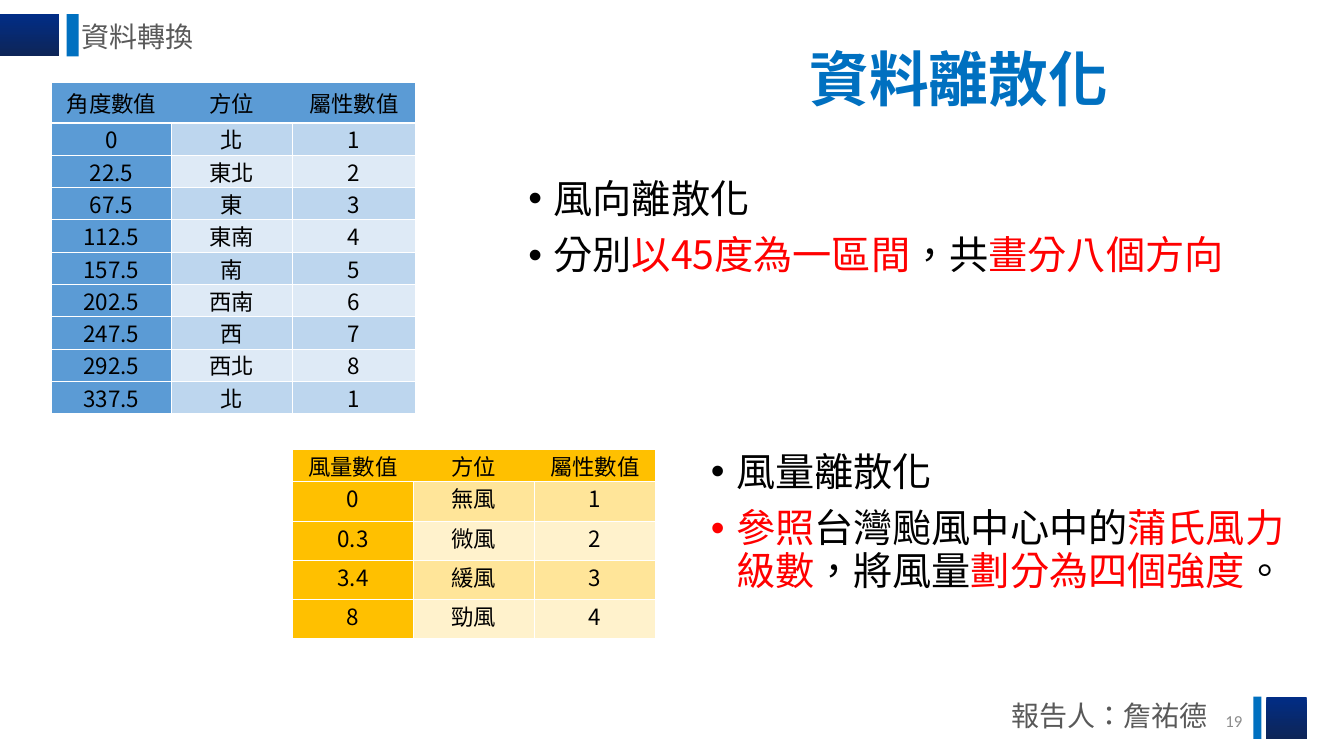
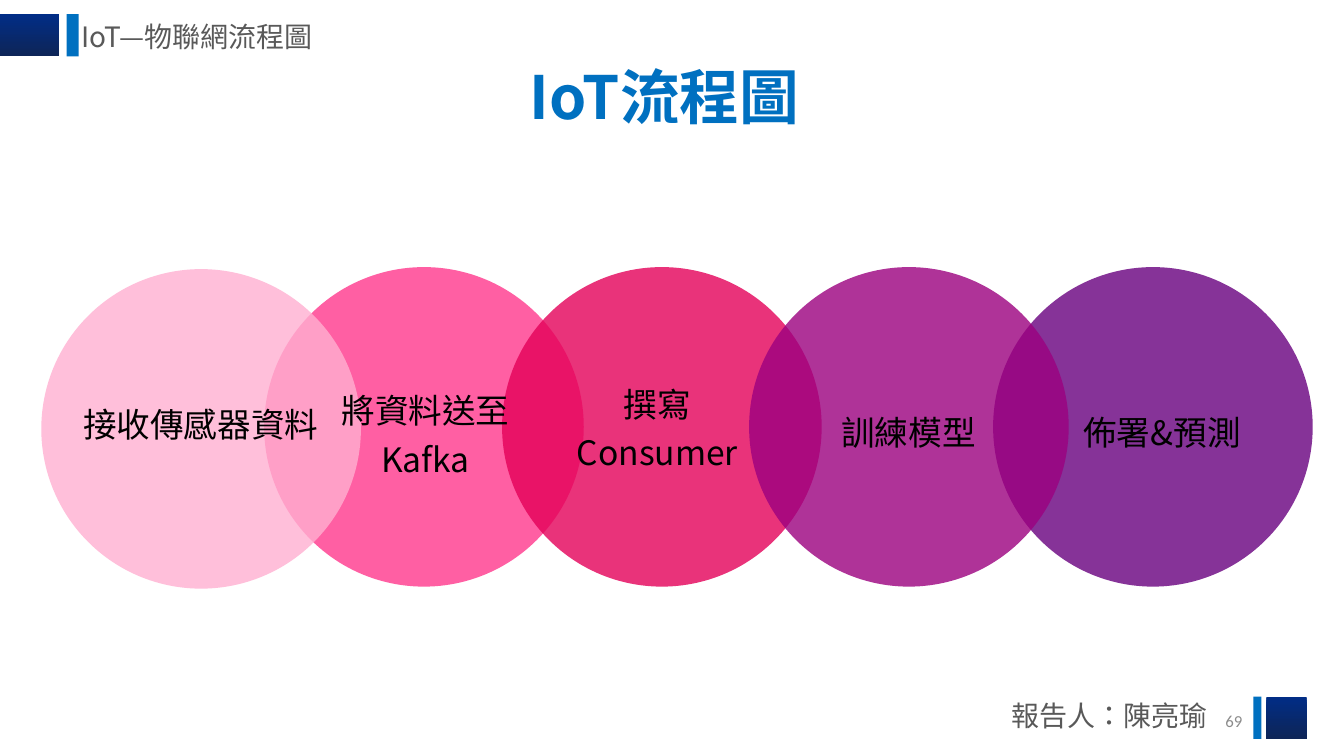
"""Build two slides: wind data discretization and the IoT process flow."""
from dataclasses import dataclass

import pptx
import pptx.dml.color
import pptx.enum.shapes
import pptx.enum.text
import pptx.oxml.ns
import pptx.util
from lxml import etree

Inches = pptx.util.Inches
Pt = pptx.util.Pt
ALIGN = pptx.enum.text.PP_ALIGN
ANCHOR = pptx.enum.text.MSO_ANCHOR
FIT = pptx.enum.text.MSO_AUTO_SIZE
SHAPE = pptx.enum.shapes.MSO_SHAPE
qn = pptx.oxml.ns.qn


@dataclass(frozen=True)
class Theme:
    font: str = "Noto Sans CJK SC"
    number_font: str = "Calibri"
    ink: str = "000000"
    accent: str = "FF0000"
    blue: str = "0070C0"
    navy: tuple = ("012D86", "0E2557")
    grey: str = "595959"
    number_grey: str = "8C8C8C"
    white: str = "FFFFFF"
    title_size: float = 42.6
    list_size: int = 28
    label_size: int = 24
    band_size: int = 20
    cell_size: int = 16
    number_size: int = 12


THEME = Theme()
RED = THEME.accent

DISCRETIZATION = {
    "section": "資料轉換", "title": "資料離散化", "title_box": (7.61, 0.41, 3.8, 0.72),
    "speaker": "報告人：詹祐德", "number": "19",
}
WIND_LISTS = [
    ((5.14, 1.73, 7.16, 1.51),
     ["風向離散化",
      ["分別", ("以45度為一區間", RED), "，共", ("畫分八個方向", RED)]]),
    ((6.95, 4.44, 6.02, 2.03),
     ["風量離散化",
      [("參照", RED), "台灣颱風中心中的", ("蒲氏風力級數", RED), "，將風量",
       ("劃分為四個強度", RED), "。"]]),
]
WIND_TABLES = [
    {"at": (0.51, 0.82), "columns": (1.19, 1.2, 1.22), "head_height": 0.4, "row_height": 0.3,
     "head_fill": "5B9BD5", "bands": ("BDD6EE", "DEEAF6"),
     "rows": [("角度數值", "方位", "屬性數值"),
              ("0", "北", "1"), ("22.5", "東北", "2"), ("67.5", "東", "3"),
              ("112.5", "東南", "4"), ("157.5", "南", "5"), ("202.5", "西南", "6"),
              ("247.5", "西", "7"), ("292.5", "西北", "8"), ("337.5", "北", "1")]},
    {"at": (2.9, 4.46), "columns": (1.2, 1.2, 1.2), "head_height": 0.31, "row_height": 0.39,
     "head_fill": "FFC000", "bands": ("FFE599", "FFF2CC"),
     "rows": [("風量數值", "方位", "屬性數值"),
              ("0", "無風", "1"), ("0.3", "微風", "2"), ("3.4", "緩風", "3"),
              ("8", "勁風", "4")]},
]

PROCESS = {
    "section": "IoT—物聯網流程圖", "title": "IoT流程圖", "title_box": (4.25, 0.59, 4.68, 0.72),
    "speaker": "報告人：陳亮瑜", "number": "69",
}
DIAMETER = 3.17
STEPS = [
    ("接收傳感器資料", (0.41, 2.67), "FFAFD1", (0.77, 4.05, 2.44, 0.36), 0.9),
    ("將資料送至Kafka", (2.62, 2.65), "FF388C", (3.35, 3.79, 1.74, 0.93), 1.2),
    ("撰寫Consumer", (4.98, 2.65), "E40059", (5.54, 3.73, 1.96, 0.93), 1.2),
    ("訓練模型", (7.43, 2.65), "9C007F", (7.95, 4.01, 2.12, 0.44), 1.2),
    ("佈署&預測", (9.85, 2.65), "68007F", (10.67, 4.01, 1.71, 0.44), 1.2),
]
STACKING = (1, 2, 4, 3, 0)
CIRCLE_OPACITY = 80


def rgb(color):
    return pptx.dml.color.RGBColor.from_string(color)


def inches(box):
    return [Inches(length) for length in box]


def write(frame, paragraphs, *, size, color=THEME.ink, font=THEME.font, bold=False,
          align=ALIGN.LEFT, spacing=None, gap=0, bullet=False):
    """Fill a text frame; a paragraph is a string or a list of strings and (text, color) pairs."""
    for index, content in enumerate(paragraphs):
        paragraph = frame.paragraphs[0] if index == 0 else frame.add_paragraph()
        paragraph.alignment = align
        paragraph.space_before = Pt(gap if index else 0)
        if spacing:
            paragraph.line_spacing = spacing
        if bullet:
            properties = paragraph._p.get_or_add_pPr()
            properties.set("marL", str(Inches(0.25)))
            properties.set("indent", str(-Inches(0.25)))
            etree.SubElement(properties, qn("a:buFont"), typeface="Arial")
            etree.SubElement(properties, qn("a:buChar"), char="•")
        for part in [content] if isinstance(content, str) else content:
            text, tint = (part, color) if isinstance(part, str) else part
            run = paragraph.add_run()
            run.text = text
            run.font.size = Pt(size)
            run.font.bold = bold
            run.font.name = font
            run.font.color.rgb = rgb(tint)
            run_properties = run._r.get_or_add_rPr()
            run_properties.set("lang", "zh-TW")
            etree.SubElement(run_properties, qn("a:ea"), typeface=font)


def setup_frame(frame, anchor=ANCHOR.TOP, fit=FIT.NONE, margin=None):
    frame.word_wrap = True
    frame.auto_size = fit
    frame.vertical_anchor = anchor
    if margin is not None:
        frame.margin_left = frame.margin_right = Inches(margin)
        frame.margin_top = frame.margin_bottom = Inches(margin)
    return frame


def add_text(shapes, box, text, anchor=ANCHOR.MIDDLE, fit=FIT.NONE, margin=None, **style):
    frame = setup_frame(shapes.add_textbox(*inches(box)).text_frame, anchor, fit, margin)
    write(frame, [text], **style)


def fill_placeholder(placeholder, box, paragraphs, anchor=ANCHOR.TOP, **style):
    placeholder.left, placeholder.top, placeholder.width, placeholder.height = inches(box)
    write(setup_frame(placeholder.text_frame, anchor), paragraphs, **style)


def add_filled(shapes, kind, box, color, opacity=100):
    shape = shapes.add_shape(kind, *inches(box))
    shape.shadow.inherit = False
    shape.line.fill.background()
    if isinstance(color, tuple):
        shape.fill.gradient()
        shape.fill.gradient_angle = 270
        for stop, tint in zip(shape.fill.gradient_stops, color):
            stop.color.rgb = rgb(tint)
    else:
        shape.fill.solid()
        shape.fill.fore_color.rgb = rgb(color)
    if opacity < 100:
        tint = shape._element.spPr.find(qn("a:solidFill"))[0]
        etree.SubElement(tint, qn("a:alpha"), val=str(opacity * 1000))


def add_band(slide, navy_box, blue_box, text_box, text):
    band = slide.shapes.add_group_shape().shapes
    add_filled(band, SHAPE.RECTANGLE, navy_box, THEME.navy)
    add_filled(band, SHAPE.RECTANGLE, blue_box, THEME.blue)
    add_text(band, text_box, text, size=THEME.band_size, color=THEME.grey)


def add_page(deck, layout, page):
    slide = deck.slides.add_slide(deck.slide_layouts.get_by_name(layout))
    fill_placeholder(slide.shapes.title, page["title_box"], [page["title"]], ANCHOR.MIDDLE,
                     size=THEME.title_size, color=THEME.blue, bold=True, align=ALIGN.CENTER)
    add_band(slide, (-0.01, 0.14, 0.6, 0.42), (0.66, 0.14, 0.12, 0.42),
             (0.71, 0.06, 4.86, 0.61), page["section"])
    add_band(slide, (12.56, 6.91, 0.4, 0.42), (12.43, 6.91, 0.08, 0.42),
             (9.93, 6.79, 3.26, 0.61), page["speaker"])
    add_text(slide.shapes, (9.42, 6.95, 3, 0.4), page["number"], size=THEME.number_size,
             color=THEME.number_grey, font=THEME.number_font, align=ALIGN.RIGHT)
    return slide


def set_borders(cell, hidden):
    properties = cell._tc.get_or_add_tcPr()
    for index, side in enumerate(("lnL", "lnR", "lnT", "lnB")):
        line = etree.Element(qn(f"a:{side}"), w=str(Pt(1)))
        if side in hidden:
            etree.SubElement(line, qn("a:noFill"))
        else:
            paint = etree.SubElement(line, qn("a:solidFill"))
            etree.SubElement(paint, qn("a:srgbClr"), val=THEME.white)
        properties.insert(index, line)


def add_wind_table(slide, spec):
    rows, columns = spec["rows"], spec["columns"]
    heights = [spec["head_height"]] + [spec["row_height"]] * (len(rows) - 1)
    box = (*spec["at"], sum(columns), sum(heights))
    table = slide.shapes.add_table(len(rows), len(columns), *inches(box)).table
    table.horz_banding = False
    for column, width in zip(table.columns, columns):
        column.width = Inches(width)
    for r, values in enumerate(rows):
        table.rows[r].height = Inches(heights[r])
        for c, value in enumerate(values):
            cell = table.cell(r, c)
            cell.margin_left = cell.margin_right = Inches(0.07)
            cell.margin_top = cell.margin_bottom = 0
            cell.vertical_anchor = ANCHOR.TOP if r else ANCHOR.MIDDLE
            is_head = r == 0 or c == 0
            cell.fill.solid()
            cell.fill.fore_color.rgb = rgb(
                spec["head_fill"] if is_head else spec["bands"][(r - 1) % 2])
            hidden = set()
            if r == 0 and c > 0:
                hidden.add("lnL")
            if r == 0 and c < len(columns) - 1:
                hidden.add("lnR")
            set_borders(cell, hidden)
            write(cell.text_frame, [value], size=THEME.cell_size, align=ALIGN.CENTER)


def build_discretization(deck):
    slide = add_page(deck, "Two Content", DISCRETIZATION)
    bodies = [p for p in slide.placeholders if p.placeholder_format.idx > 0]
    for body, (box, points) in zip(bodies, WIND_LISTS):
        fill_placeholder(body, box, points, size=THEME.list_size, spacing=0.9, gap=10,
                         bullet=True)
    for spec in WIND_TABLES:
        add_wind_table(slide, spec)


def build_process(deck):
    slide = add_page(deck, "Title Only", PROCESS)
    for index in STACKING:
        _, corner, color, _, _ = STEPS[index]
        add_filled(slide.shapes, SHAPE.OVAL, (*corner, DIAMETER, DIAMETER), color,
                   CIRCLE_OPACITY)
    for label, _, _, box, spacing in STEPS:
        add_text(slide.shapes, box, label, ANCHOR.TOP, FIT.SHAPE_TO_FIT_TEXT, 0,
                 size=THEME.label_size, align=ALIGN.CENTER, spacing=spacing)


def main():
    deck = pptx.Presentation()
    deck.slide_width, deck.slide_height = Inches(13.33), Inches(7.5)
    build_discretization(deck)
    build_process(deck)
    deck.save("out.pptx")


if __name__ == "__main__":
    main()
